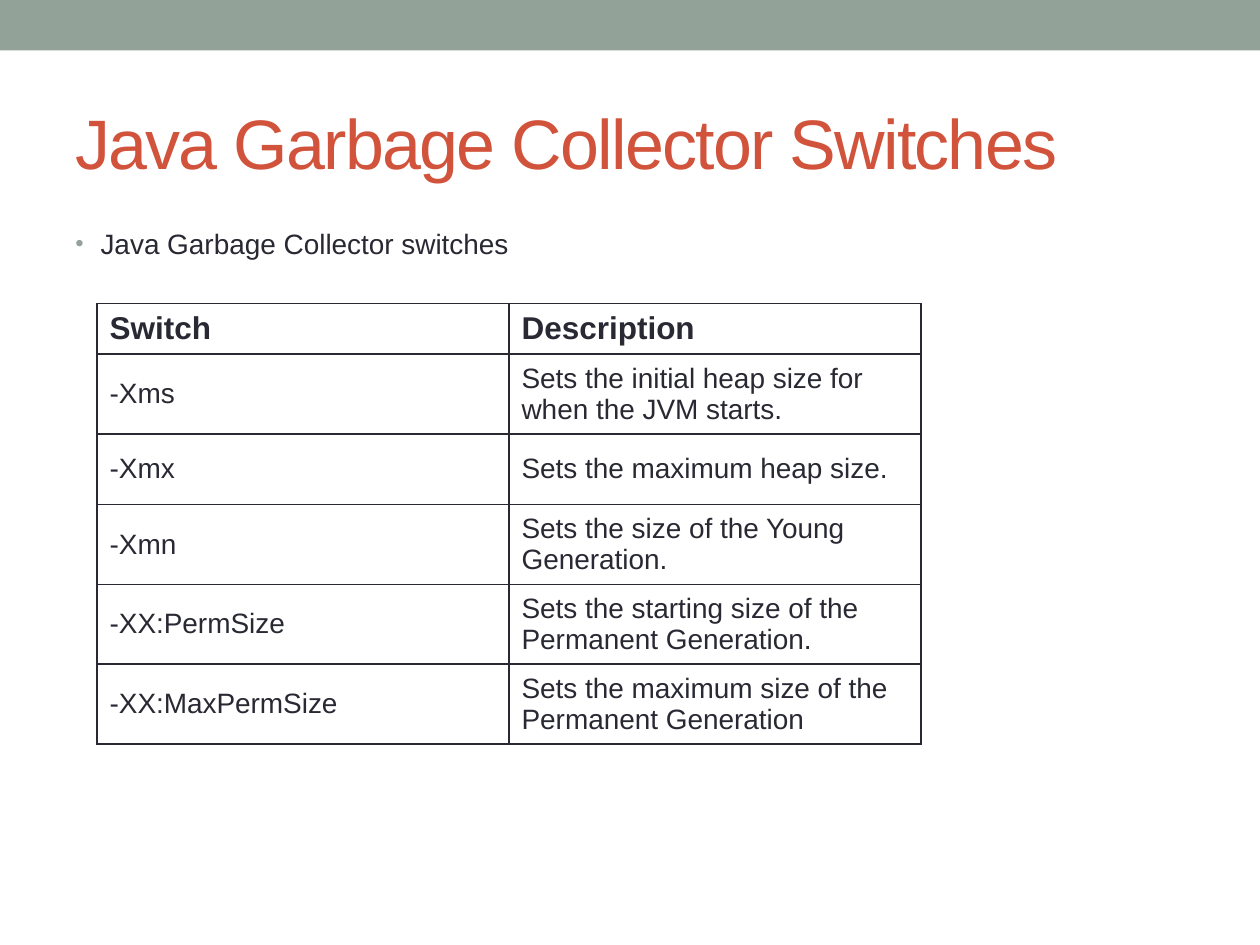
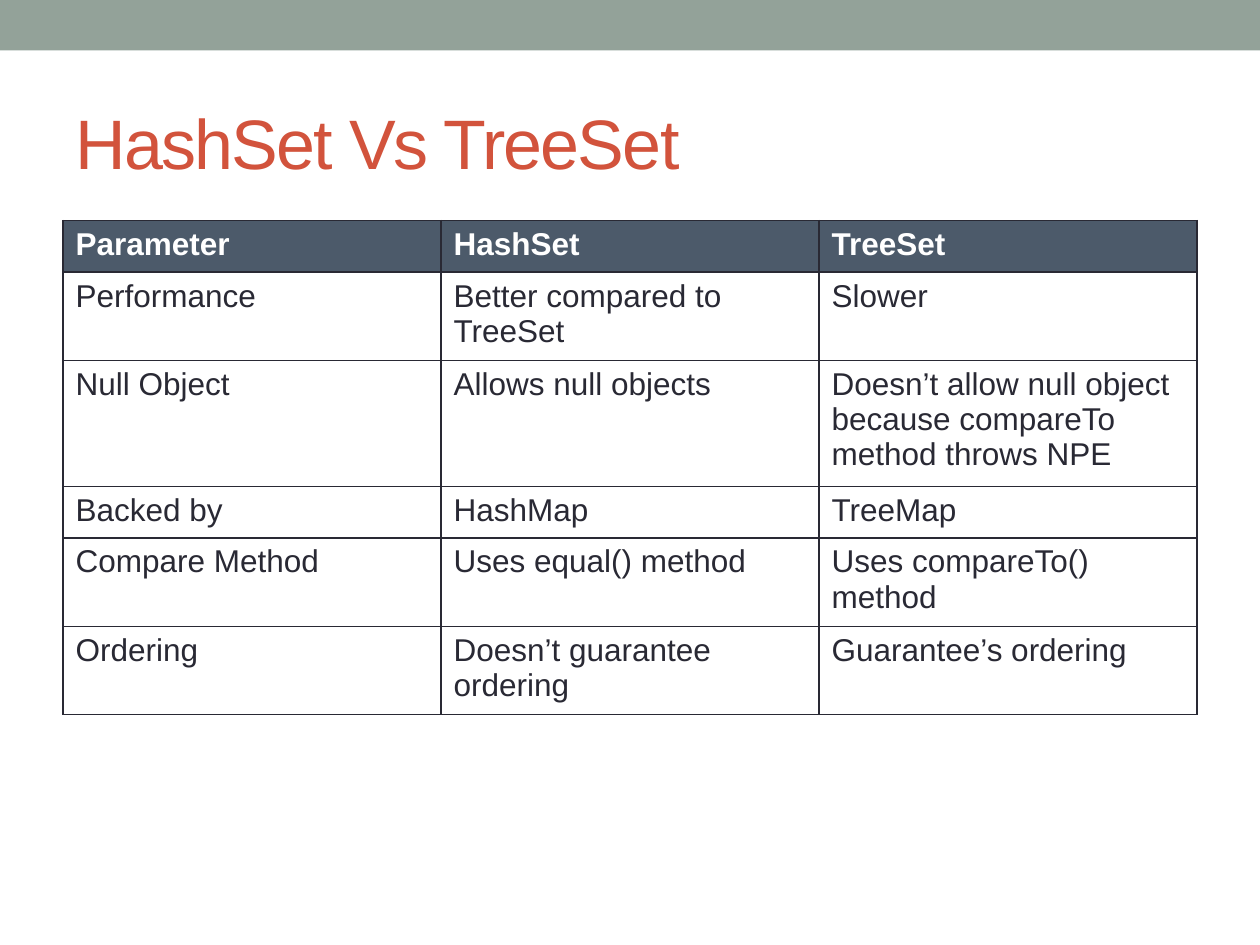
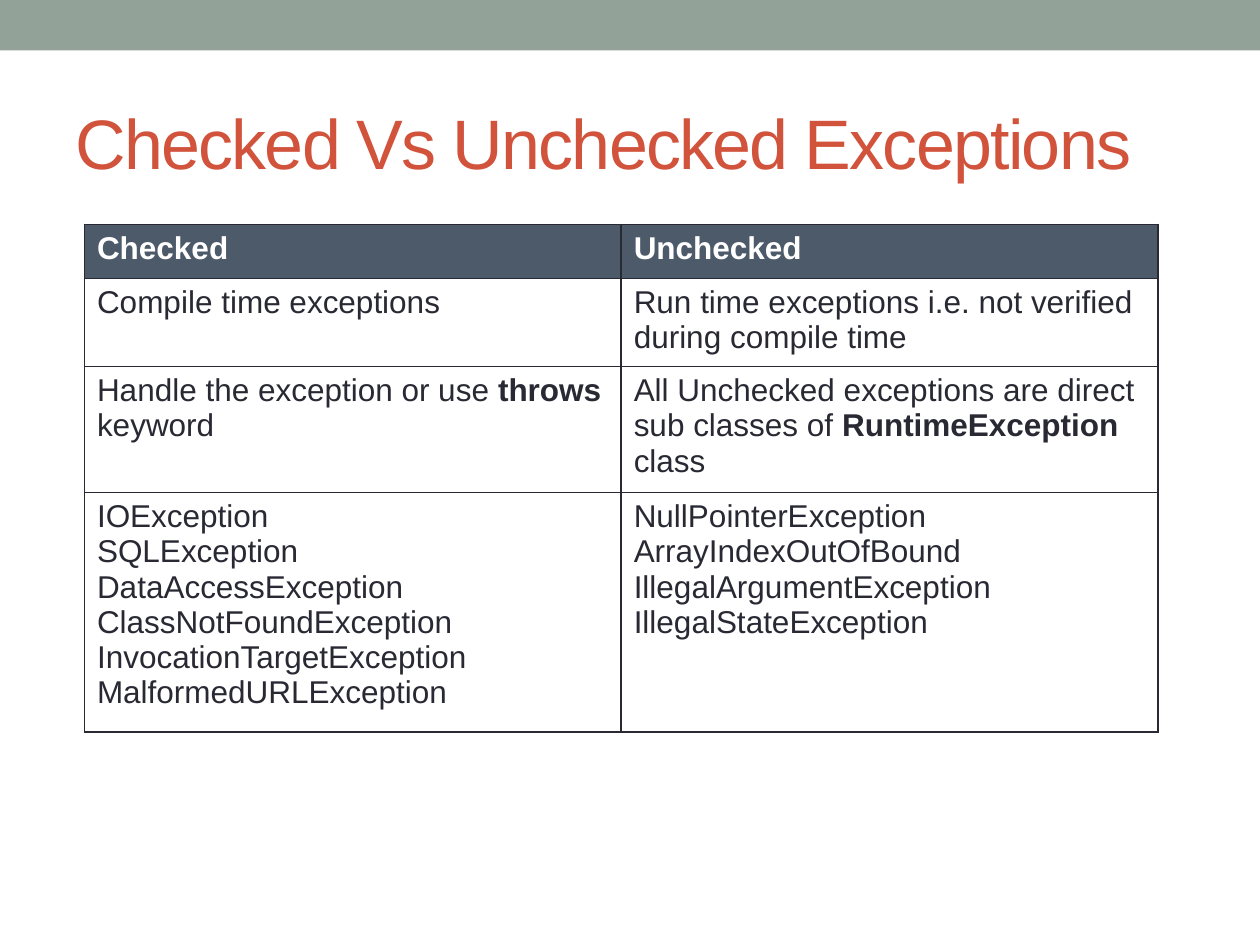
from dataclasses import dataclass

from pptx import Presentation
from pptx.dml.color import RGBColor
from pptx.enum.shapes import MSO_SHAPE
from pptx.enum.text import MSO_ANCHOR
from pptx.oxml.ns import qn
from pptx.util import Inches, Pt
from lxml.etree import SubElement


# Theme: colours and type sizes
@dataclass(frozen=True)
class Theme:
    font: str = "Arial"
    band: str = "93A299"
    title: str = "D2533C"
    ink: str = "292934"
    head: str = "4C5A6A"
    white: str = "FFFFFF"
    big: int = 40
    text: int = 18
    small: int = 16
    line: int = 1


def put(item, **values):
    for key, value in values.items():
        setattr(item, key, value)


def node(parent, tag, **values):
    child = SubElement(parent, qn(tag))
    for key, value in values.items():
        child.set(key, str(value))
    return child


class Deck:
    def __init__(self, theme):
        self.theme = theme
        self.file = Presentation()
        put(self.file, slide_width=Inches(10), slide_height=Inches(7.5))
        self.slide = None

    # New slide with the shared band and title
    def page(self, title):
        self.slide = self.file.slides.add_slide(self.file.slide_layouts[6])
        self.band()
        self.title(title)

    def band(self):
        bar = self.slide.shapes.add_shape(
            MSO_SHAPE.RECTANGLE, 0, 0, self.file.slide_width, Inches(0.4))
        bar.shadow.inherit = False
        bar.fill.solid()
        bar.fill.fore_color.rgb = RGBColor.from_string(self.theme.band)
        bar.line.fill.background()

    def box(self, top, height, **values):
        frame = self.slide.shapes.add_textbox(
            Inches(0.5), Inches(top), Inches(9), Inches(height)).text_frame
        put(frame, word_wrap=True, **values)
        return frame.paragraphs[0]

    def run(self, para, text, size, color, bold=False):
        run = para.add_run()
        run.text = text
        put(run.font, name=self.theme.font, size=Pt(size), bold=bold)
        run.font.color.rgb = RGBColor.from_string(color)
        return run

    def title(self, text):
        para = self.box(0.58, 1.08, vertical_anchor=MSO_ANCHOR.MIDDLE)
        run = self.run(para, text, self.theme.big, self.theme.title)
        run.font._element.set("spc", "-100")

    def bullet(self, text):
        para = self.box(1.75, 5.33)
        props = para._p.get_or_add_pPr()
        props.set("marL", str(Inches(0.2)))
        props.set("indent", str(Inches(-0.2)))
        node(node(props, "a:buClr"), "a:srgbClr", val=self.theme.band)
        node(props, "a:buSzPct", val=85000)
        node(props, "a:buFont", typeface=self.theme.font)
        node(props, "a:buChar", char="•")
        self.run(para, text, self.theme.small, self.theme.ink)

    # A cell is a list of paragraphs; a paragraph is text or (text, bold) runs
    def cell(self, cell, paras, size, color, bold, fill, anchor):
        props = cell._tc.get_or_add_tcPr()
        for side in "LRTB":
            edge = node(props, f"a:ln{side}", w=Pt(self.theme.line))
            node(node(edge, "a:solidFill"), "a:srgbClr", val=self.theme.ink)
        if fill:
            cell.fill.solid()
            cell.fill.fore_color.rgb = RGBColor.from_string(fill)
        else:
            cell.fill.background()
        cell.vertical_anchor = anchor
        frame = cell.text_frame
        for i, runs in enumerate([paras] if isinstance(paras, str) else paras):
            para = frame.add_paragraph() if i else frame.paragraphs[0]
            for text, strong in [(runs, bold)] if isinstance(runs, str) else runs:
                self.run(para, text, size, color, strong)

    def table(self, at, rows, heights, head, body):
        left, top, width, height = map(Inches, at)
        frame = self.slide.shapes.add_table(
            len(rows), len(rows[0]), left, top, width, height)
        grid = frame.table
        grid.horz_banding = False
        for r, row in enumerate(rows):
            grid.rows[r].height = Inches(heights[r])
            for c, paras in enumerate(row):
                self.cell(grid.cell(r, c), paras, **(body if r else head))
        frame.height = height


def main():
    theme = Theme()
    deck = Deck(theme)

    # Cell formats
    plain = dict(size=theme.small, color=theme.ink, bold=False, fill=None,
                 anchor=MSO_ANCHOR.MIDDLE)
    label = plain | dict(size=theme.text, bold=True)
    body = plain | dict(size=theme.text, anchor=MSO_ANCHOR.TOP)
    head = body | dict(color=theme.white, bold=True, fill=theme.head)

    # Collector switches
    deck.page("Java Garbage Collector Switches")
    deck.bullet("Java Garbage Collector switches")
    deck.table((0.77, 2.41, 6.54, 3.5), [
        ("Switch", "Description"),
        ("-Xms", "Sets the initial heap size for when the JVM starts."),
        ("-Xmx", "Sets the maximum heap size."),
        ("-Xmn", "Sets the size of the Young Generation."),
        ("-XX:PermSize", "Sets the starting size of the Permanent Generation."),
        ("-XX:MaxPermSize", "Sets the maximum size of the Permanent Generation"),
    ], [0.37, 0.59, 0.56, 0.59, 0.59, 0.59], label, plain)

    # Set types
    deck.page("HashSet Vs TreeSet")
    deck.table((0.5, 1.75, 9, 3.91), [
        ("Parameter", "HashSet", "TreeSet"),
        ("Performance", "Better compared to TreeSet", "Slower"),
        ("Null Object", "Allows null objects",
         "Doesn’t allow null object because compareTo method throws NPE"),
        ("Backed by", "HashMap", "TreeMap"),
        ("Compare Method", "Uses equal() method", "Uses compareTo() method"),
        ("Ordering", "Doesn’t guarantee ordering", "Guarantee’s ordering"),
    ], [0.41] * 6, head, body)

    # Exception kinds
    deck.page("Checked Vs Unchecked Exceptions")
    deck.table((0.67, 1.78, 8.52, 4.03), [
        ("Checked", "Unchecked"),
        ("Compile time exceptions",
         "Run time exceptions i.e. not verified during compile time"),
        ([[("Handle the exception or use ", False), ("throws ", True),
           ("keyword", False)]],
         [[("All Unchecked exceptions are direct sub classes of ", False),
           ("RuntimeException", True), (" class", False)]]),
        (["IOException", "SQLException", "DataAccessException",
          "ClassNotFoundException", "InvocationTargetException",
          "MalformedURLException"],
         ["NullPointerException", "ArrayIndexOutOfBound",
          "IllegalArgumentException", "IllegalStateException"]),
    ], [0.43] * 4, head, body)

    deck.file.save("out.pptx")


if __name__ == "__main__":
    main()
